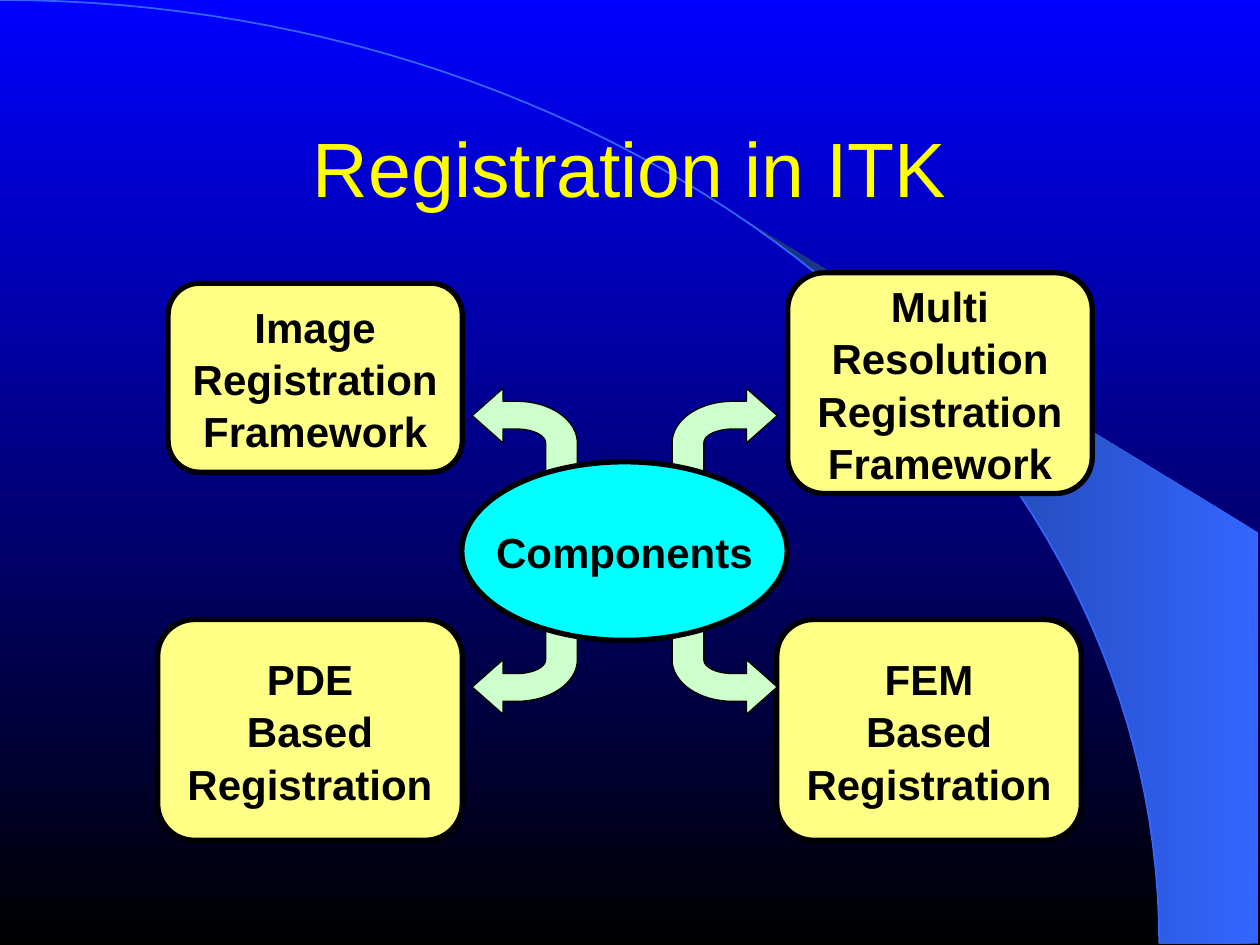
import math
from dataclasses import dataclass

import pptx
import pptx.dml.color
import pptx.enum.shapes
import pptx.enum.text
import pptx.util
from pptx.util import Cm

SHAPE = pptx.enum.shapes.MSO_SHAPE


@dataclass(frozen=True)
class Theme:
    font: str = "Arial"
    title_size: int = 44
    label_size: int = 24
    label_spacing: float = 1.04
    title: str = "FFFF00"
    ink: str = "000000"
    box: str = "FFFF85"
    hub: str = "00FFFF"
    arrow: str = "CCFFCC"
    curve: str = "3366FF"
    band_dark: str = "172F75"
    sky: str = "0000FF"


THEME = Theme()


def rgb(value):
    return pptx.dml.color.RGBColor.from_string(value)


def gradient(fill, start, end, angle):
    fill.gradient()
    fill.gradient_angle = angle
    for stop, color in zip(fill.gradient_stops, (start, end)):
        stop.color.rgb = rgb(color)


def outline(sp, color, width):
    sp.line.color.rgb = rgb(color)
    sp.line.width = pptx.util.Pt(width)


def write(sp, text, size, color, bold=False, spacing=1.0, wrap=False):
    tf = sp.text_frame
    tf.word_wrap = wrap
    tf.vertical_anchor = pptx.enum.text.MSO_ANCHOR.MIDDLE
    p = tf.paragraphs[0]
    p.alignment = pptx.enum.text.PP_ALIGN.CENTER
    p.line_spacing = spacing
    for i, line in enumerate(text.split("\n")):
        if i:
            p.add_line_break()
        r = p.add_run()
        r.text = line
        r.font.name = THEME.font
        r.font.size = pptx.util.Pt(size)
        r.font.bold = bold
        r.font.color.rgb = rgb(color)


def ellipse_points(cx, cy, rx, ry, start, end, steps):
    angles = [math.radians(start + (end - start) * i / steps) for i in range(steps + 1)]
    return [(cx + rx * math.cos(a), cy + ry * math.sin(a)) for a in angles]


def add_freeform(s, points, close=True):
    points = [(Cm(x), Cm(y)) for x, y in points]
    builder = s.shapes.build_freeform(*points[0])
    builder.add_line_segments(points[1:], close=close)
    sp = builder.convert_to_shape()
    sp.shadow.inherit = False
    return sp


def add_backdrop(s):
    gradient(s.background.fill, THEME.sky, THEME.ink, 270)
    cx, cy, rx, ry = 0, 19.02, 23.37, 19.02

    edge = ellipse_points(cx, cy, rx, ry, -50.2, 0, 40)
    band = add_freeform(s, edge + [(25.37, cy), (25.37, 10.74)])
    gradient(band.fill, THEME.curve, THEME.band_dark, 180)
    band.line.fill.background()

    curve = add_freeform(s, ellipse_points(cx, cy, rx, ry, 0, -90, 60), close=False)
    curve.fill.background()
    outline(curve, THEME.curve, 1)


def add_title(s, text):
    sp = s.shapes.add_textbox(Cm(1.9), Cm(1.45), Cm(21.6), Cm(3.84))
    tf = sp.text_frame
    tf.margin_left = tf.margin_right = tf.margin_top = tf.margin_bottom = 0
    write(sp, text, THEME.title_size, THEME.title, wrap=True)


def add_label(s, kind, text, fill, left, top, width, height):
    sp = s.shapes.add_shape(kind, Cm(left), Cm(top), Cm(width), Cm(height))
    sp.shadow.inherit = False
    sp.fill.solid()
    sp.fill.fore_color.rgb = rgb(fill)
    outline(sp, THEME.ink, 3)
    write(sp, text, THEME.label_size, THEME.ink, bold=True, spacing=THEME.label_spacing)


def add_bent_arrow(s, x, y, dx, dy):
    outer = ellipse_points(1.22, 0.81, 1.22, 0.84, 180, 90, 16)
    inner = ellipse_points(1.22, 0.81, 0.58, 0.28, 90, 180, 16)
    head = [(1.5, 1.65), (1.5, 1.91), (2.12, 1.36), (1.5, 0.81), (1.5, 1.09)]
    points = [(0, 0)] + outer + head + inner + [(0.64, 0)]
    sp = add_freeform(s, [(x + dx * px, y + dy * py) for px, py in points])
    sp.fill.solid()
    sp.fill.fore_color.rgb = rgb(THEME.arrow)
    outline(sp, THEME.ink, 0.75)


def main():
    prs = pptx.Presentation()
    prs.slide_width, prs.slide_height = Cm(25.4), Cm(19.05)
    s = prs.slides.add_slide(prs.slide_layouts[6])

    add_backdrop(s)
    add_title(s, "Registration in ITK")

    boxes = [
        ("Image\nRegistration\nFramework", 3.39, 5.71, 5.93, 3.81),
        ("Multi\nResolution\nRegistration\nFramework", 15.88, 5.5, 6.14, 4.45),
        ("PDE\nBased\nRegistration", 3.18, 12.49, 6.14, 4.45),
        ("FEM\nBased\nRegistration", 15.66, 12.49, 6.14, 4.45),
    ]
    for text, *place in boxes:
        add_label(s, SHAPE.ROUNDED_RECTANGLE, text, THEME.box, *place)

    for y, dy in ((9.74, -1), (12.49, 1)):
        for x, dx in ((13.55, 1), (11.64, -1)):
            add_bent_arrow(s, x, y, dx, dy)
    add_label(s, SHAPE.OVAL, "Components", THEME.hub, 9.31, 9.31, 6.56, 3.6)

    prs.save("out.pptx")


if __name__ == "__main__":
    main()
